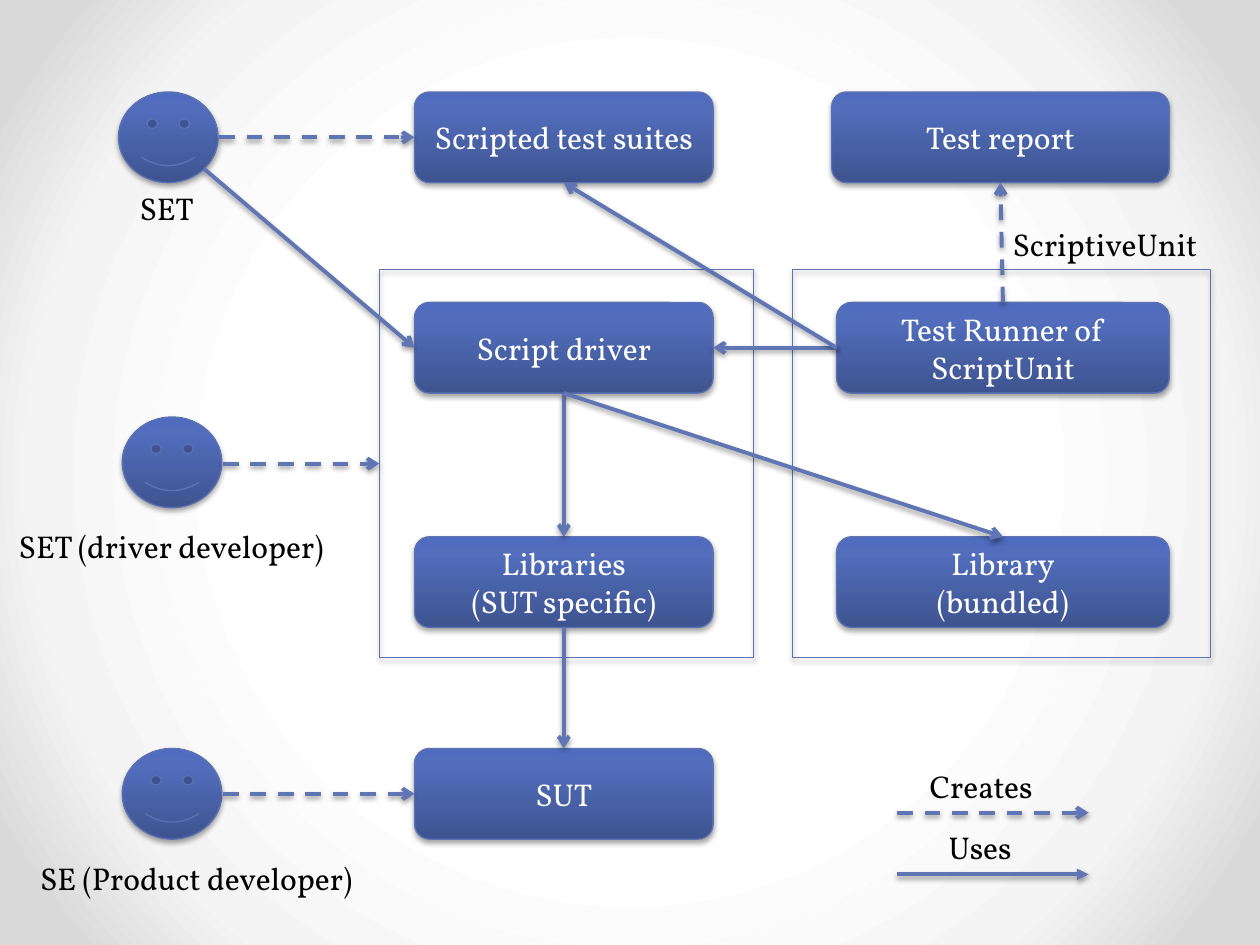
"""Build a slide showing who creates and uses each part of a scripted test setup."""
import dataclasses

import pptx
import pptx.dml.color
import pptx.enum.dml
import pptx.enum.shapes
import pptx.enum.text
import pptx.oxml
import pptx.oxml.ns
import pptx.util

Inches = pptx.util.Inches
Pt = pptx.util.Pt
KIND = pptx.enum.shapes.MSO_SHAPE
ALIGN = pptx.enum.text.PP_ALIGN
NS = 'xmlns:a="http://schemas.openxmlformats.org/drawingml/2006/main"'
FONT, BLACK, WHITE = "Vollkorn", "000000", "FFFFFF"
EDGE, WIRE = "5C72B2", "6076B4"
BLUE = ((0, "3E5490"), (80, "516DBB"), (100, "4F6CBE"))
BACK = ((50, "FFFFFF"), (76, "F4F4F4"), (92, "DADADA"))
UP = '<a:lin ang="16200000" scaled="0"/>'
ROUND = '<a:path path="circle"><a:fillToRect l="50000" t="50000" r="50000" b="50000"/></a:path>'

HIGH = 0.72
MID = HIGH / 2
ROW_1, ROW_2, ROW_3, ROW_4 = 0.73, 2.4, 4.26, 5.94
COL_1, COL_2 = 3.29, 6.64
WIDE_1, WIDE_2 = 2.37, 2.64
AXIS_1, AXIS_2 = COL_1 + WIDE_1 / 2, COL_2 + WIDE_2 / 2
FACE = 0.79


@dataclasses.dataclass
class Box:
    left: float
    top: float
    width: float
    lines: tuple[str, ...]


@dataclasses.dataclass
class Label:
    left: float
    top: float
    width: float
    text: str
    align: ALIGN = ALIGN.LEFT


@dataclasses.dataclass
class Arrow:
    x1: float
    y1: float
    x2: float
    y2: float
    dashed: bool = False
    head: str = "arrow"


BOXES = (
    Box(COL_1, ROW_4, WIDE_1, ("SUT",)),
    Box(COL_1, ROW_2, WIDE_1, ("Script driver",)),
    Box(COL_1, ROW_3, WIDE_1, ("Libraries", "(SUT specific)")),
    Box(COL_1, ROW_1, WIDE_1, ("Scripted test suites",)),
    Box(6.6, ROW_1, 2.68, ("Test report",)),
    Box(COL_2, ROW_3, WIDE_2, ("Library", "(bundled)")),
    Box(COL_2, ROW_2, WIDE_2, ("Test Runner of ScriptUnit",)),
)
FACES = ((0.94, ROW_1), (0.97, 3.31), (0.97, ROW_4))
FRAMES = ((3.01, 2.97), (6.29, 3.32))
LABELS = (
    Label(1.01, 1.45, 0.64, "SET"),
    Label(0.05, 4.13, 2.74, "SET (driver developer)"),
    Label(0.22, 6.77, 2.79, "SE (Product developer)"),
    Label(7.28, 6.04, 1.04, "Creates"),
    Label(7.43, 6.52, 0.73, "Uses"),
    Label(7.72, 1.74, 1.88, "ScriptiveUnit", ALIGN.RIGHT),
)
ARROWS = (
    Arrow(1.74, ROW_1 + MID, COL_1, ROW_1 + MID, True),
    Arrow(1.77, 3.68, 3.01, 3.68, True),
    Arrow(1.77, ROW_4 + MID, COL_1, ROW_4 + MID, True),
    Arrow(7.12, 6.45, 8.64, 6.45, True),
    Arrow(7.12, 6.94, 8.64, 6.94, head="triangle"),
    Arrow(1.62, 1.34, COL_1, ROW_2 + MID),
    Arrow(AXIS_1, ROW_3 + HIGH, AXIS_1, ROW_4),
    Arrow(AXIS_1, ROW_2 + HIGH, AXIS_1, ROW_3),
    Arrow(COL_2, ROW_2 + MID, COL_1 + WIDE_1, ROW_2 + MID),
    Arrow(COL_2, ROW_2 + MID, AXIS_1, ROW_1 + HIGH),
    Arrow(AXIS_1, ROW_2 + HIGH, AXIS_2, ROW_3),
    Arrow(AXIS_2, ROW_2, 7.94, ROW_1 + HIGH, True),
)


def tint(code: str) -> pptx.dml.color.RGBColor:
    return pptx.dml.color.RGBColor.from_string(code)


def shade(fill, root, stops: tuple, aim: str) -> None:
    fill.gradient()
    grad = next(root.iter(pptx.oxml.ns.qn("a:gradFill")))
    marks = "".join(
        f'<a:gs pos="{spot * 1000}"><a:srgbClr val="{code}"/></a:gs>' for spot, code in stops
    )
    new = pptx.oxml.parse_xml(
        f'<a:gradFill {NS} rotWithShape="1"><a:gsLst>{marks}</a:gsLst>{aim}</a:gradFill>'
    )
    grad.getparent().replace(grad, new)


def cast(item, alpha: int, dist: float) -> None:
    props = item._element.spPr
    for old in props.findall(pptx.oxml.ns.qn("a:effectLst")):
        props.remove(old)
    props.append(pptx.oxml.parse_xml(
        f'<a:effectLst {NS}><a:outerShdw blurRad="{Pt(3.1)}" dist="{Pt(dist)}" dir="5400000" '
        f'rotWithShape="0"><a:srgbClr val="{BLACK}"><a:alpha val="{alpha * 1000}"/>'
        '</a:srgbClr></a:outerShdw></a:effectLst>'
    ))


def write(frame, lines: tuple[str, ...], code: str, align: ALIGN) -> None:
    for spot, line in enumerate(lines):
        para = frame.add_paragraph() if spot else frame.paragraphs[0]
        para.alignment = align
        run = para.add_run()
        run.text = line
        run.font.name, run.font.size = FONT, Pt(18)
        run.font.color.rgb = tint(code)


def draw_shape(slide, kind: KIND, left: float, top: float, width: float,
               height: float = HIGH, solid: bool = True):
    shape = slide.shapes.add_shape(kind, Inches(left), Inches(top), Inches(width), Inches(height))
    shape.shadow.inherit = False
    if solid:
        shade(shape.fill, shape._element, BLUE, UP)
    else:
        shape.fill.background()
    shape.line.color.rgb = tint(EDGE)
    shape.line.width = Pt(0.75)
    cast(shape, 35, 1.8)
    return shape


def draw_box(slide, box: Box) -> None:
    shape = draw_shape(slide, KIND.ROUNDED_RECTANGLE, box.left, box.top, box.width)
    frame = shape.text_frame
    frame.word_wrap = True
    frame.vertical_anchor = pptx.enum.text.MSO_ANCHOR.MIDDLE
    write(frame, box.lines, WHITE, ALIGN.CENTER)


def draw_label(slide, label: Label) -> None:
    area = slide.shapes.add_textbox(
        Inches(label.left), Inches(label.top), Inches(label.width), Inches(0.4))
    frame = area.text_frame
    frame.word_wrap = False
    frame.auto_size = pptx.enum.text.MSO_AUTO_SIZE.SHAPE_TO_FIT_TEXT
    write(frame, (label.text,), BLACK, label.align)


def draw_arrow(slide, arrow: Arrow) -> None:
    line = slide.shapes.add_connector(
        pptx.enum.shapes.MSO_CONNECTOR.STRAIGHT,
        Inches(arrow.x1), Inches(arrow.y1), Inches(arrow.x2), Inches(arrow.y2))
    line.line.color.rgb = tint(WIRE)
    line.line.width = Pt(2.25)
    if arrow.dashed:
        line.line.dash_style = pptx.enum.dml.MSO_LINE.DASH
    stroke = line._element.spPr.find(pptx.oxml.ns.qn("a:ln"))
    stroke.append(pptx.oxml.parse_xml(f'<a:tailEnd {NS} type="{arrow.head}"/>'))
    cast(line, 38, 1.6)


def main() -> None:
    deck = pptx.Presentation()
    deck.slide_width, deck.slide_height = Inches(10), Inches(7.5)
    slide = deck.slides.add_slide(deck.slide_layouts[6])
    shade(slide.background.fill, slide._element, BACK, ROUND)
    for left, top in FACES:
        draw_shape(slide, KIND.SMILEY_FACE, left, top, FACE)
    for left, width in FRAMES:
        draw_shape(slide, KIND.RECTANGLE, left, 2.14, width, 3.08, solid=False)
    for box in BOXES:
        draw_box(slide, box)
    for arrow in ARROWS:
        draw_arrow(slide, arrow)
    for label in LABELS:
        draw_label(slide, label)
    deck.save("out.pptx")


main()
